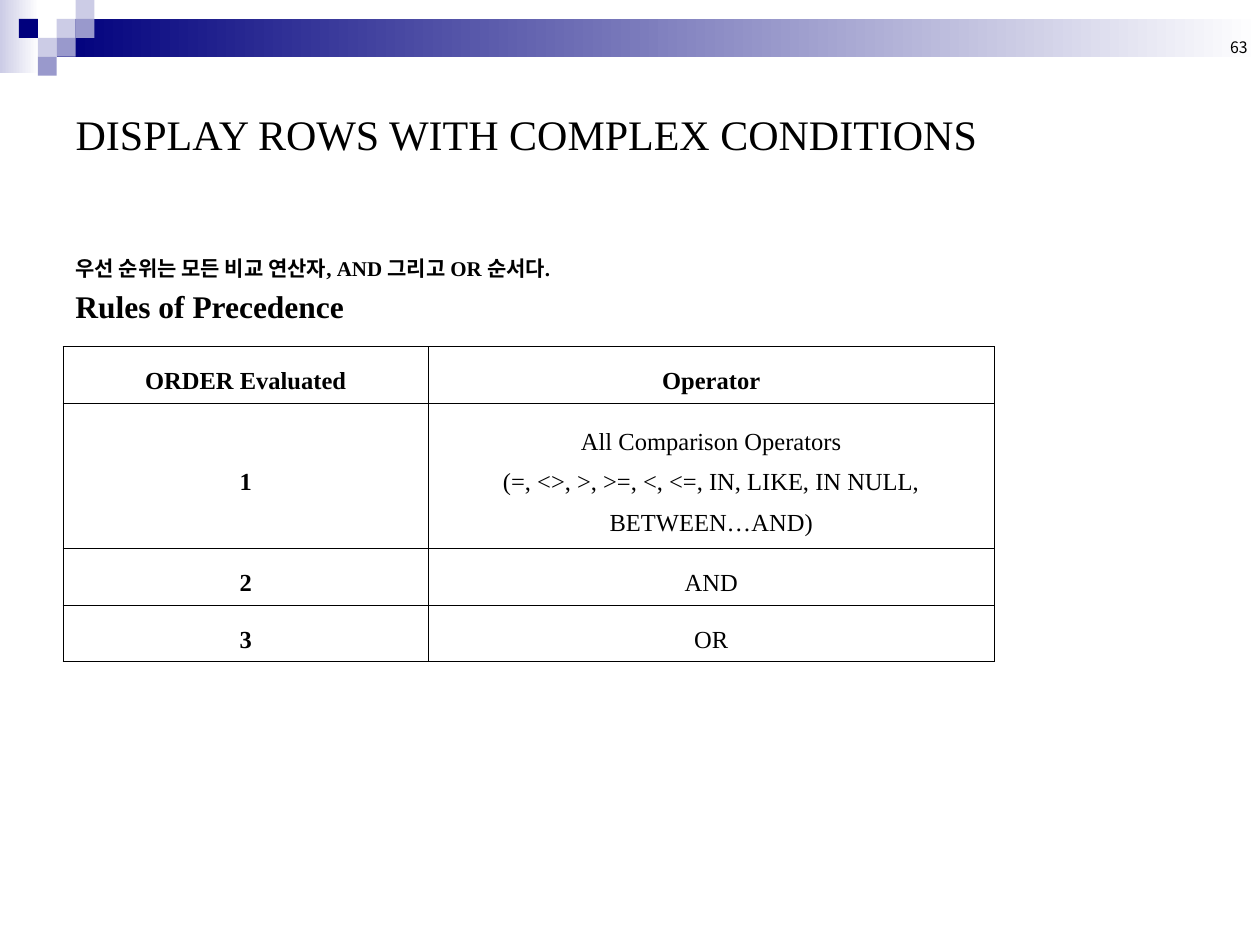
from lxml import etree
from pptx import Presentation
from pptx.dml.color import RGBColor
from pptx.enum.shapes import MSO_SHAPE
from pptx.enum.text import MSO_ANCHOR, PP_ALIGN
from pptx.oxml import parse_xml
from pptx.oxml.ns import nsdecls, qn
from pptx.util import Inches, Pt

RECTANGLE = MSO_SHAPE.RECTANGLE
TOP, MIDDLE, BOTTOM = MSO_ANCHOR.TOP, MSO_ANCHOR.MIDDLE, MSO_ANCHOR.BOTTOM
LEFT, CENTER, RIGHT = PP_ALIGN.LEFT, PP_ALIGN.CENTER, PP_ALIGN.RIGHT

COLORS = {"navy": "00007D", "lilac": "CCCCE6", "violet": "9999CC",
          "white": "FFFFFF", "black": "000000"}
SERIF, KOREAN = "Times New Roman", "Noto Sans CJK KR"

TITLE = "DISPLAY ROWS WITH COMPLEX CONDITIONS"
TEXTS = [
    ("63", (7.67, 0, 2.33, 0.5), 9, KOREAN, False, RIGHT, BOTTOM),
    ("우선 순위는 모든 비교 연산자, AND 그리고 OR 순서다.",
     (0.5, 1.98, 7.69, 0.33), 12, SERIF, True, LEFT, TOP),
    ("Rules of Precedence", (0.5, 2.23, 6.69, 0.41), 18, SERIF, True, LEFT, TOP),
]
PRECEDENCE = [
    ("ORDER Evaluated", "Operator"),
    ("1", "All Comparison Operators\n(=, <>, >, >=, <, <=, IN, LIKE, IN NULL, BETWEEN…AND)"),
    ("2", "AND"),
    ("3", "OR"),
]
COLUMN_WIDTHS = (2.9, 4.49)
ROW_HEIGHTS = (0.43, 1.13, 0.43, 0.43)

GRADIENT_BARS = [((0, 0, 0.31, 0.58), "lilac"), ((0.45, 0.15, 9.55, 0.3), "navy")]
SQUARE = 0.15
SQUARES = [(3, 1, "lilac"), (4, 0, "lilac"), (4, 1, "violet"), (2, 2, "lilac"),
           (1, 1, "navy"), (3, 2, "violet"), (2, 3, "violet")]


def color(name):
    return RGBColor.from_string(COLORS[name])


def add_rectangle(page, area):
    box = page.shapes.add_shape(RECTANGLE, *map(Inches, area))
    box.shadow.inherit = False
    box.line.fill.background()
    return box


def add_header(page):
    for area, start in GRADIENT_BARS:
        fill = add_rectangle(page, area).fill
        fill.gradient()
        fill.gradient_angle = 0
        for stop, name, position in zip(fill.gradient_stops, (start, "white"), (0, 1)):
            stop.color.rgb = color(name)
            stop.position = position
    for column, row, name in SQUARES:
        box = add_rectangle(page, (column * SQUARE, row * SQUARE, SQUARE, SQUARE))
        box.fill.solid()
        box.fill.fore_color.rgb = color(name)


def format_text(frame, size, font, bold, align):
    for para in frame.paragraphs:
        para.alignment = align
        for span in para.runs:
            span.font.size = Pt(size)
            span.font.name = font
            span.font.bold = bold
            span.font.color.rgb = color("black")
            east_asian = etree.Element(qn("a:ea"), typeface=KOREAN)
            span.font._element.find(qn("a:latin")).addnext(east_asian)


def add_title(page):
    title = page.shapes.title
    title.left, title.top, title.width, title.height = map(Inches, (0.5, 0.5, 9, 1.12))
    title.text_frame.text = TITLE
    title.text_frame.vertical_anchor = MIDDLE
    format_text(title.text_frame, 24, SERIF, False, LEFT)


def add_text(page, text, area, size, font, bold, align, anchor):
    frame = page.shapes.add_textbox(*map(Inches, area)).text_frame
    frame.word_wrap = True
    frame.vertical_anchor = anchor
    frame.text = text
    format_text(frame, size, font, bold, align)


def add_borders(cell):
    properties = cell._tc.get_or_add_tcPr()
    for index, side in enumerate(("lnL", "lnR", "lnT", "lnB")):
        properties.insert(index, parse_xml(
            f'<a:{side} {nsdecls("a")} w="{Pt(0.45)}"><a:solidFill>'
            f'<a:srgbClr val="{COLORS["black"]}"/></a:solidFill></a:{side}>'))


def add_precedence_table(page):
    area = (0.5, 2.75, sum(COLUMN_WIDTHS), sum(ROW_HEIGHTS))
    table = page.shapes.add_table(
        len(ROW_HEIGHTS), len(COLUMN_WIDTHS), *map(Inches, area)).table
    table.horz_banding = False
    for column, width in zip(table.columns, COLUMN_WIDTHS):
        column.width = Inches(width)
    for i, (row, height) in enumerate(zip(table.rows, ROW_HEIGHTS)):
        row.height = Inches(height)
        for j, cell in enumerate(row.cells):
            cell.text = PRECEDENCE[i][j]
            cell.vertical_anchor = MIDDLE
            cell.margin_left = cell.margin_right = Inches(0.08)
            cell.fill.background()
            add_borders(cell)
            format_text(cell.text_frame, 14, SERIF, i == 0 or j == 0, CENTER)
            for para in cell.text_frame.paragraphs:
                para.line_spacing = 1.5


def main():
    """Build the slide on operator precedence."""
    deck = Presentation()
    deck.slide_width, deck.slide_height = Inches(10), Inches(7.5)
    page = deck.slides.add_slide(deck.slide_layouts[5])
    add_header(page)
    add_title(page)
    for text in TEXTS:
        add_text(page, *text)
    add_precedence_table(page)
    deck.save("out.pptx")


if __name__ == "__main__":
    main()
